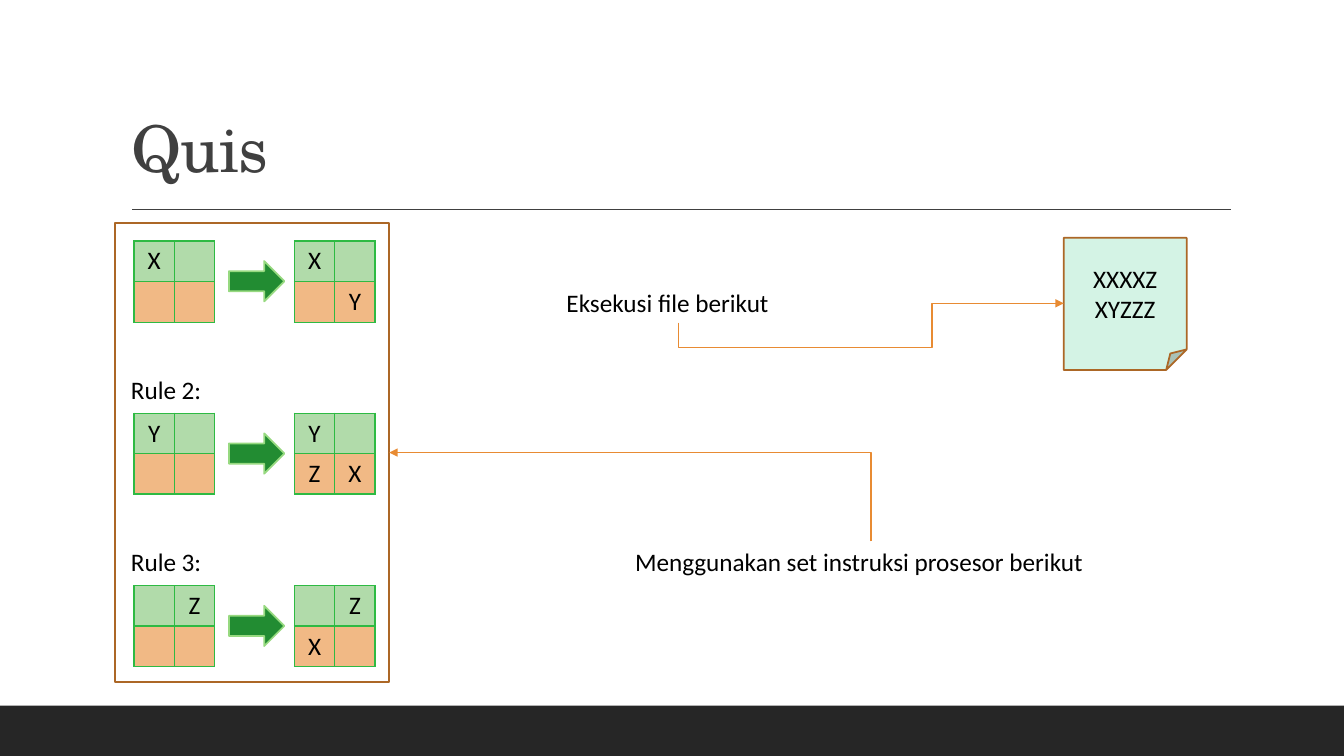
import pptx
import pptx.dml.color
import pptx.enum.shapes
import pptx.enum.text
import pptx.oxml
import pptx.oxml.ns
import pptx.util

RGB = pptx.dml.color.RGBColor
SHAPE = pptx.enum.shapes.MSO_SHAPE
CONNECTOR = pptx.enum.shapes.MSO_CONNECTOR
ANCHOR = pptx.enum.text.MSO_ANCHOR
ALIGN = pptx.enum.text.PP_ALIGN
FIT = pptx.enum.text.MSO_AUTO_SIZE

BLACK = RGB(0x00, 0x00, 0x00)
CHARCOAL = RGB(0x26, 0x26, 0x26)
GREY = RGB(0x40, 0x40, 0x40)
BROWN = RGB(0xAC, 0x67, 0x26)
ORANGE = RGB(0xE8, 0x8B, 0x33)
MINT = RGB(0xD4, 0xF3, 0xE5)
GREEN = RGB(0x22, 0x8C, 0x32)
LIGHT_GREEN = RGB(0x97, 0xD9, 0x80)
BORDER_GREEN = RGB(0x2E, 0xBA, 0x43)
ROW_FILLS = (RGB(0xB1, 0xDB, 0xAA), RGB(0xF1, 0xB9, 0x85))

EMU_PER_PX = 9144
CELL = 40
RULE_PITCH = 171
RULES = [
    ("", ("X ", "  "), ("X ", " Y")),
    ("Rule 2:", ("Y ", "  "), ("Y ", "ZX")),
    ("Rule 3:", (" Z", "  "), (" Z", "X ")),
]


def px(*lengths):
    """Turn px lengths into EMU."""
    return [pptx.util.Emu(round(length * EMU_PER_PX)) for length in lengths]


def add_xml(parent, body):
    """Append an element of the drawing namespace and return it."""
    namespace = pptx.oxml.ns.nsdecls("a")
    tag, rest = body.split(" ", 1)
    element = pptx.oxml.parse_xml(f"<a:{tag} {namespace} {rest}")
    parent.append(element)
    return element


def write(frame, text, size=18, font="Calibri", color=BLACK, align=ALIGN.LEFT,
          spacing=None, tracking=None):
    """Write one formatted paragraph per line of text."""
    for index, line in enumerate(text.split("\n")):
        para = frame.add_paragraph() if index else frame.paragraphs[0]
        para.alignment = align
        para.line_spacing = spacing
        span = para.add_run()
        span.text = line
        span.font.size = pptx.util.Pt(size)
        span.font.name = font
        span.font.color.rgb = color
        if tracking is not None:
            span.font._element.set("spc", str(tracking))


def add_block(page, preset, box, fill=None, line=None):
    """Draw a preset shape without shadow."""
    block = page.shapes.add_shape(preset, *px(*box))
    block.shadow.inherit = False
    if fill is None:
        block.fill.background()
    else:
        block.fill.solid()
        block.fill.fore_color.rgb = fill
    if line is None:
        block.line.fill.background()
    else:
        block.line.color.rgb = line
        block.line.width = pptx.util.Pt(1.25)
    return block


def add_label(page, text, box):
    """Place a wrapped text box that grows with its text."""
    frame = page.shapes.add_textbox(*px(*box)).text_frame
    frame.word_wrap = True
    frame.auto_size = FIT.SHAPE_TO_FIT_TEXT
    write(frame, text)


def add_line(page, kind, begin, end, color):
    """Draw a one point connector without shadow."""
    line = page.shapes.add_connector(kind, *px(*begin, *end))
    line.line.color.rgb = color
    line.line.width = pptx.util.Pt(1)
    add_xml(line._element.spPr, "effectLst />")
    return line


def add_bent_arrow(page, begin, end, turn, preset, adjustments=()):
    """Draw a bent arrow whose frame is turned by a quarter, clockwise if turn is 1."""
    middle_x, middle_y = (begin[0] + end[0]) / 2, (begin[1] + end[1]) / 2
    across, down = turn * (begin[1] - middle_y), -turn * (begin[0] - middle_x)
    arrow = add_line(page, CONNECTOR.ELBOW, (middle_x + across, middle_y + down),
                     (middle_x - across, middle_y - down), ORANGE)
    properties = arrow._element.spPr
    properties.find(pptx.oxml.ns.qn("a:xfrm")).set("rot", str(turn % 4 * 5400000))
    geometry = properties.find(pptx.oxml.ns.qn("a:prstGeom"))
    geometry.set("prst", preset)
    guides = geometry.find(pptx.oxml.ns.qn("a:avLst"))
    for number, value in enumerate(adjustments, 1):
        add_xml(guides, f'gd name="adj{number}" fmla="val {value}"/>')
    add_xml(arrow.line._get_or_add_ln(), 'tailEnd type="triangle"/>')


def add_grid(page, rows, left, top):
    """Draw a two by two grid of symbols as a table."""
    table = page.shapes.add_table(2, 2, *px(left, top, 2 * CELL, 2 * CELL)).table
    table.first_row = table.horz_banding = False
    for line in (*table.columns, *table.rows):
        if hasattr(line, "width"):
            line.width = px(CELL)[0]
        else:
            line.height = px(CELL)[0]
    for row, symbols in enumerate(rows):
        for column, symbol in enumerate(symbols):
            cell = table.cell(row, column)
            if symbol.strip():
                write(cell.text_frame, symbol, align=ALIGN.CENTER)
            properties = cell._tc.get_or_add_tcPr()
            for side in "LRTB":
                add_xml(properties, f'ln{side} w="12700"><a:solidFill><a:srgbClr '
                        f'val="{BORDER_GREEN}"/></a:solidFill></a:ln{side}>')
            cell.fill.solid()
            cell.fill.fore_color.rgb = ROW_FILLS[row]


def add_rules(page, box):
    """Fill the framed panel with the processor rules."""
    left, top = box[:2]
    for index, (name, before, after) in enumerate(RULES):
        grid_top = top + 18 + index * RULE_PITCH
        if name:
            add_label(page, name, (left + 6, grid_top - 44, 216, 40))
        add_grid(page, before, left + 19, grid_top)
        add_grid(page, after, left + 178, grid_top)
        add_block(page, SHAPE.RIGHT_ARROW, (left + 113, grid_top + 20, 55, 40),
                  GREEN, LIGHT_GREEN)
    add_block(page, SHAPE.RECTANGLE, box, line=BROWN)


def add_heading(page, box):
    """Format the title and rule it off below."""
    left, top, width, height = box
    title = page.shapes.title
    title.left, title.top, title.width, title.height = px(*box)
    frame = title.text_frame
    frame.auto_size = FIT.NONE
    frame.vertical_anchor = ANCHOR.BOTTOM
    write(frame, "Quis", size=46, font="TeX Gyre Schola", color=GREY,
          spacing=0.9, tracking=-50)
    line_top = top + height + 18
    add_line(page, CONNECTOR.STRAIGHT, (left + 11, line_top),
             (left + width + 1, line_top), GREY)


def add_program(page, box):
    """Draw the folded sheet that holds the program to run."""
    sheet = add_block(page, SHAPE.FOLDED_CORNER, box, MINT, BROWN)
    sheet.text_frame.vertical_anchor = ANCHOR.MIDDLE
    write(sheet.text_frame, "XXXXZ\nXYZZZ", align=ALIGN.CENTER)


def add_tasks(page, box):
    """Place both instructions and their arrows to the sheet and the rules."""
    left, top, width, height = box
    add_label(page, "Eksekusi file berikut", (left, top, 242, 40))
    add_label(page, "Menggunakan set instruksi prosesor berikut",
              (left + 68, top + height - 40, 487, 40))
    add_bent_arrow(page, (left + 121, top + 40), (left + width, top + 21), 1,
                   "bentConnector4", (-129800, 65800))
    add_bent_arrow(page, (left + 312, top + height - 40), (left - 166, top + 169), -1,
                   "bentConnector2")


def main():
    """Build and save the deck."""
    deck = pptx.Presentation()
    deck.slide_width, deck.slide_height = px(1333, 750)
    page = deck.slides.add_slide(deck.slide_layouts[5])
    add_block(page, SHAPE.RECTANGLE, (0, 700, 1333, 50), CHARCOAL)
    add_heading(page, (120, 31, 1100, 159))
    add_rules(page, (114, 221, 272, 456))
    add_program(page, (1055, 236, 122, 131))
    add_tasks(page, (552, 280, 503, 297))
    deck.save("out.pptx")


if __name__ == "__main__":
    main()
